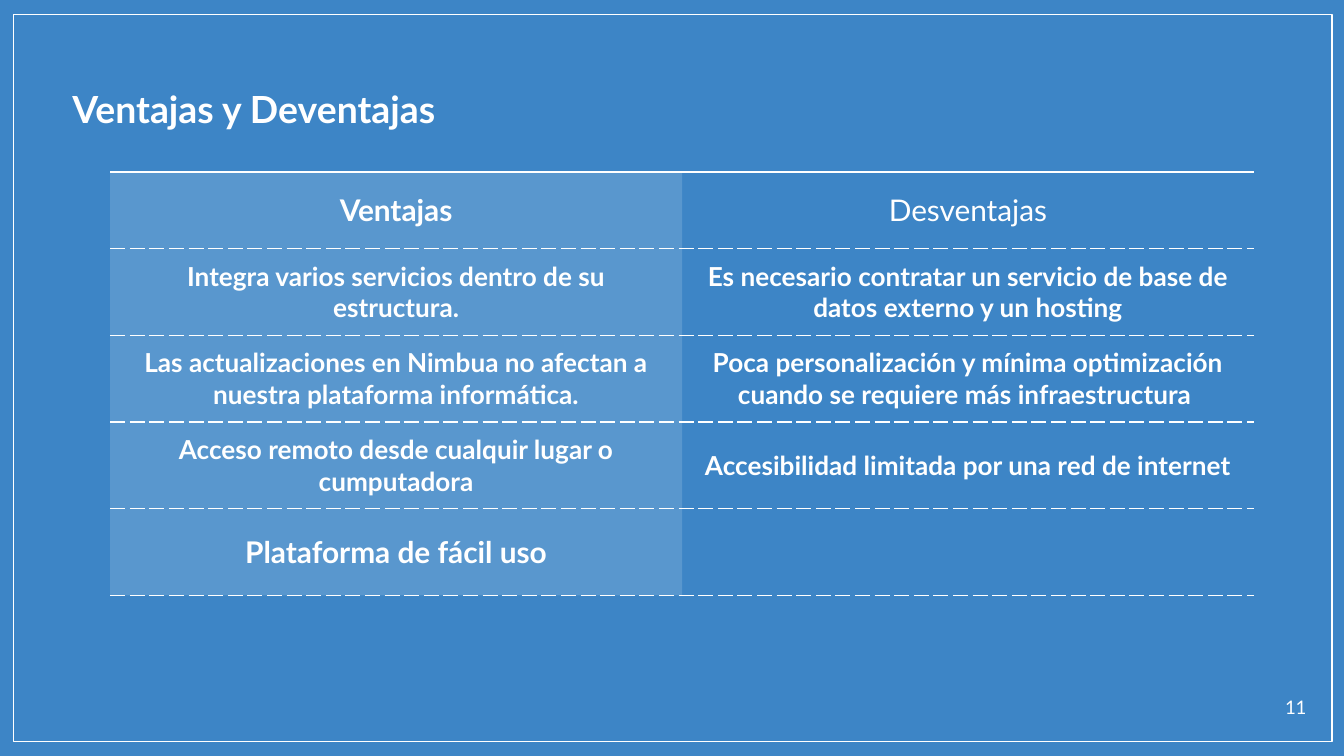
import typing

import lxml.etree
import pptx
import pptx.dml.color
import pptx.enum.shapes
import pptx.enum.text
import pptx.oxml.ns
import pptx.util

Inches = pptx.util.Inches
Pt = pptx.util.Pt
qn = pptx.oxml.ns.qn
Align = pptx.enum.text.PP_ALIGN
Anchor = pptx.enum.text.MSO_ANCHOR

BLUE = pptx.dml.color.RGBColor(0x3D, 0x85, 0xC6)
WHITE = pptx.dml.color.RGBColor(0xFF, 0xFF, 0xFF)
FONT = "Lato"


class Label(typing.NamedTuple):
    text: str
    left: float
    top: float
    width: float
    height: float
    size: int
    bold: bool
    align: Align


class Entry(typing.NamedTuple):
    text: str
    size: int = 14
    bold: bool = True


class Edge(typing.NamedTuple):
    width: float
    dash: str


LABELS = [
    Label("Ventajas y Deventajas", 0.44, 0.54, 9, 0.45, 20, True, Align.LEFT),
    Label("11", 9.32, 5.09, 0.5, 0.32, 10, False, Align.RIGHT),
]
ROWS = [
    (Entry("Ventajas", 16), Entry("Desventajas", 16, False)),
    (Entry("Integra varios servicios dentro de su estructura."),
     Entry("Es necesario contratar un servicio de base de datos externo y un hosting")),
    (Entry("Las actualizaciones en Nimbua no afectan a nuestra plataforma informática."),
     Entry("Poca personalización y mínima optimización cuando se requiere más infraestructura ")),
    (Entry("Acceso remoto desde cualquir lugar o cumputadora"),
     Entry("Accesibilidad limitada por una red de internet")),
    (Entry("Plataforma de fácil uso", 16), Entry("")),
]
HEAD, BODY = 0.57, 2.58  # heights of the header row and of all other rows
SOLID = Edge(1.5, "solid")
DASHED = Edge(0.75, "dash")


def style(para, size: int, bold: bool, align: Align) -> None:
    para.alignment = align
    para.font.name = FONT
    para.font.size = Pt(size)
    para.font.bold = bold
    para.font.color.rgb = WHITE


def add_label(slide, label: Label) -> None:
    box = slide.shapes.add_textbox(
        Inches(label.left), Inches(label.top), Inches(label.width), Inches(label.height))
    frame = box.text_frame
    frame.word_wrap = True
    frame.vertical_anchor = Anchor.TOP
    frame.margin_left = frame.margin_right = Inches(0.1)
    frame.margin_top = frame.margin_bottom = Inches(0.1)
    para = frame.paragraphs[0]
    para.text = label.text
    style(para, label.size, label.bold, label.align)


def set_edges(cell, top: Edge, bottom: Edge) -> None:
    props = cell._tc.get_or_add_tcPr()
    edges = {"a:lnL": None, "a:lnR": None, "a:lnT": top, "a:lnB": bottom}
    for spot, (tag, edge) in enumerate(edges.items()):
        line = lxml.etree.Element(qn(tag))
        if edge is None:
            lxml.etree.SubElement(line, qn("a:noFill"))
        else:
            line.set("w", str(Pt(edge.width)))
            fill = lxml.etree.SubElement(line, qn("a:solidFill"))
            lxml.etree.SubElement(fill, qn("a:srgbClr"), val=str(WHITE))
            lxml.etree.SubElement(line, qn("a:prstDash"), val=edge.dash)
        props.insert(spot, line)


def fill_cell(cell, entry: Entry, tinted: bool) -> None:
    cell.vertical_anchor = Anchor.MIDDLE
    cell.margin_left = cell.margin_right = Inches(0.1)
    cell.margin_top = cell.margin_bottom = Inches(0.07)
    para = cell.text_frame.paragraphs[0]
    if entry.text:
        para.text = entry.text
    style(para, entry.size, entry.bold, Align.CENTER)
    if tinted:
        cell.fill.solid()
        cell.fill.fore_color.rgb = WHITE
        color = cell._tc.tcPr.find(".//" + qn("a:srgbClr"))
        lxml.etree.SubElement(color, qn("a:alpha"), val="15000")
    else:
        cell.fill.background()


def add_grid(slide) -> None:
    frame = slide.shapes.add_table(
        len(ROWS), 2, Inches(0.82), Inches(1.28), Inches(8.51), Inches(HEAD + BODY))
    table = frame.table
    table.first_row = False
    table.horz_banding = False
    for r, entries in enumerate(ROWS):
        table.rows[r].height = Inches(BODY / (len(ROWS) - 1) if r else HEAD)
        for c, entry in enumerate(entries):
            cell = table.cell(r, c)
            fill_cell(cell, entry, tinted=c == 0)
            set_edges(cell, DASHED if r else SOLID, DASHED)


def main() -> None:
    deck = pptx.Presentation()
    deck.slide_width = Inches(10)
    deck.slide_height = Inches(10 * 9 / 16)
    slide = deck.slides.add_slide(deck.slide_layouts[6])
    slide.background.fill.solid()
    slide.background.fill.fore_color.rgb = BLUE

    # Frame around the slide
    border = slide.shapes.add_shape(
        pptx.enum.shapes.MSO_SHAPE.RECTANGLE,
        Inches(0.1), Inches(0.11), Inches(9.81), Inches(5.41))
    border.shadow.inherit = False
    border.fill.background()
    border.line.color.rgb = WHITE
    border.line.width = Pt(0.75)

    # Title and page number
    for label in LABELS:
        add_label(slide, label)

    # Table of pros and cons
    add_grid(slide)
    deck.save("out.pptx")


if __name__ == "__main__":
    main()
